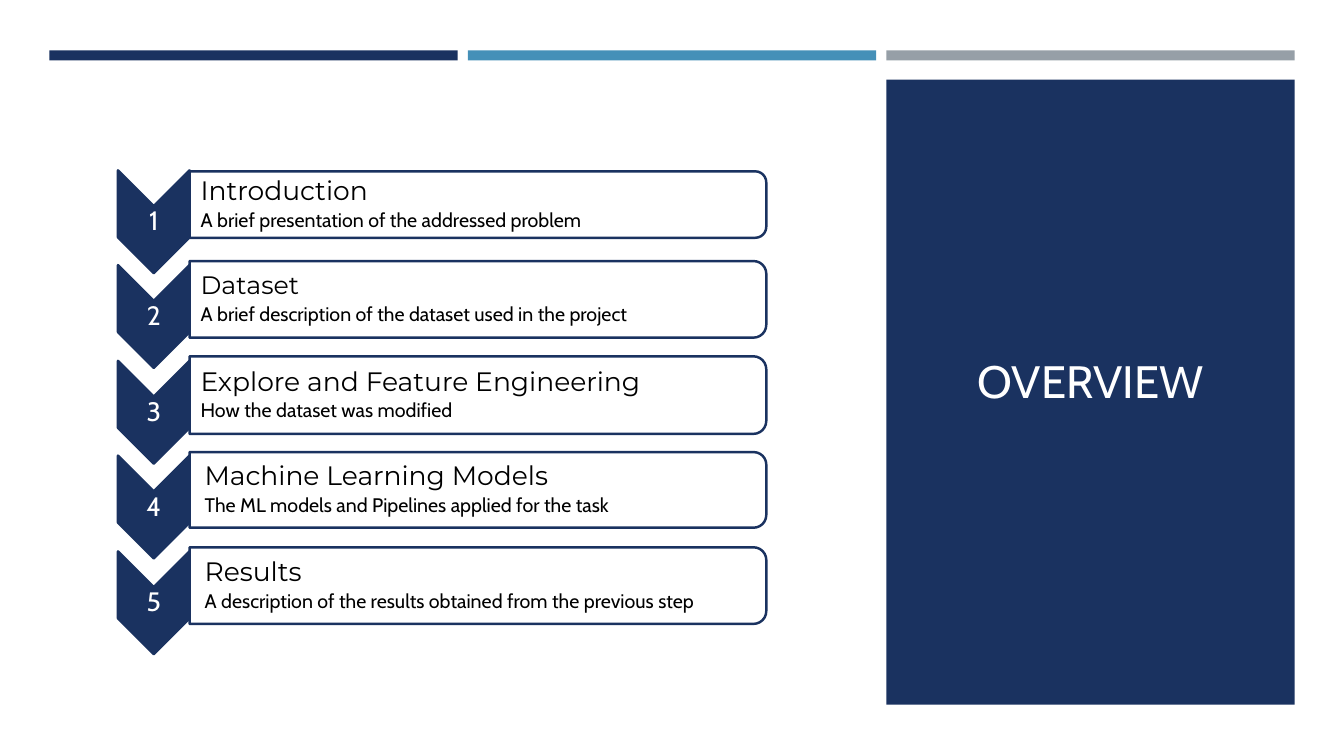
from pptx import Presentation
from pptx.dml.color import RGBColor
from pptx.enum.shapes import MSO_SHAPE as Shape
from pptx.enum.text import MSO_ANCHOR as Anchor, PP_ALIGN as Align
from pptx.util import Pt

PX = 9144
NAVY, BLUE, GRAY, WHITE, BLACK = "1A3260", "4590B8", "969FA7", "FFFFFF", "000000"
TOPICS = [
    ("Introduction", "A brief presentation of the addressed problem", 66, 19, 11),
    ("Dataset", "A brief description of the dataset used in the project", 76, 18, 11),
    ("Explore and Feature Engineering", "How the dataset was modified", 77, 19, 11),
    ("Machine Learning Models", "The ML models and Pipelines applied for the task", 75, 19, 15),
    ("Results", "A description of the results obtained from the previous step", 76, 19, 15),
]


def color(value):
    return RGBColor.from_string(value)


def emu(*lengths):
    return [round(length * PX) for length in lengths]


def add_block(slide, kind, box, fill, line=None, rotation=0):
    shape = slide.shapes.add_shape(kind, *emu(*box))
    shape.shadow.inherit = False
    shape.rotation = rotation
    shape.fill.solid()
    shape.fill.fore_color.rgb = color(fill)
    if line:
        shape.line.color.rgb = color(line)
        shape.line.width = Pt(1.75)
    else:
        shape.line.fill.background()
    return shape


def add_turned(slide, kind, box, fill):
    left, top, width, height = box
    turned = (left + (width - height) / 2, top + (height - width) / 2, height, width)
    return add_block(slide, kind, turned, fill, NAVY, 90)


def add_text(slide, box, lines, insets, anchor=Anchor.MIDDLE, align=Align.LEFT):
    frame = slide.shapes.add_textbox(*emu(*box)).text_frame
    frame.word_wrap = True
    frame.vertical_anchor = anchor
    frame.margin_left, frame.margin_top, frame.margin_right, frame.margin_bottom = emu(*insets)
    frame.text = "\n".join(line[0] for line in lines)
    for paragraph, (_, font_name, size, ink) in zip(frame.paragraphs, lines):
        paragraph.alignment = align
        paragraph.line_spacing = 0.9
        paragraph.space_after = Pt(round(size * 0.15))
        font = paragraph.runs[0].font
        font.name = font_name
        font.size = Pt(size)
        font.color.rgb = color(ink)


def add_header_bars(slide, left, top, width, gap):
    for index, fill in enumerate((NAVY, BLUE, GRAY)):
        add_block(slide, Shape.RECTANGLE, (left + index * (width + gap), top, width, 10), fill)


def add_title_panel(slide, left, top, width, height):
    add_block(slide, Shape.RECTANGLE, (left, top, width, height), NAVY)
    add_text(slide, (left + 34, top + 261, width - 68, 70),
             [("OVERVIEW", "Cabin", 32.4, WHITE)], (10, 5, 10, 5), Anchor.BOTTOM, Align.CENTER)


def add_topic(slide, left, middle, number, topic):
    heading, detail, height, heading_size, inset = topic
    add_turned(slide, Shape.CHEVRON, (left, middle - 34, 71, 102), NAVY)
    add_text(slide, (left, middle + 2, 71, 31), [(str(number), "Cabin", 19, WHITE)],
             (1, 1, 1, 1), align=Align.CENTER)
    card_left, card_top = left + 71, middle - height / 2
    add_turned(slide, Shape.ROUND_2_SAME_RECTANGLE, (card_left, card_top, 572, height), WHITE)
    add_text(slide, (card_left, card_top + 3, 569, height - 6),
             [(heading, "Montserrat", heading_size, BLACK), (detail, "Cabin", 14, BLACK)],
             (inset, 1, 1, 1))


def add_topics(slide, left, first_middle):
    for index, topic in enumerate(TOPICS):
        add_topic(slide, left, first_middle + index * 189 // 2, index + 1, topic)


def main():
    presentation = Presentation()
    presentation.slide_width, presentation.slide_height = emu(1333, 750)
    slide = presentation.slides.add_slide(presentation.slide_layouts[6])
    add_block(slide, Shape.RECTANGLE, (0, 0, 1333, 750), WHITE)
    add_title_panel(slide, 879, 79, 405, 620)
    add_header_bars(slide, 49, 50, 405, 10)
    add_topics(slide, 117, 203)
    presentation.save("out.pptx")


if __name__ == "__main__":
    main()
